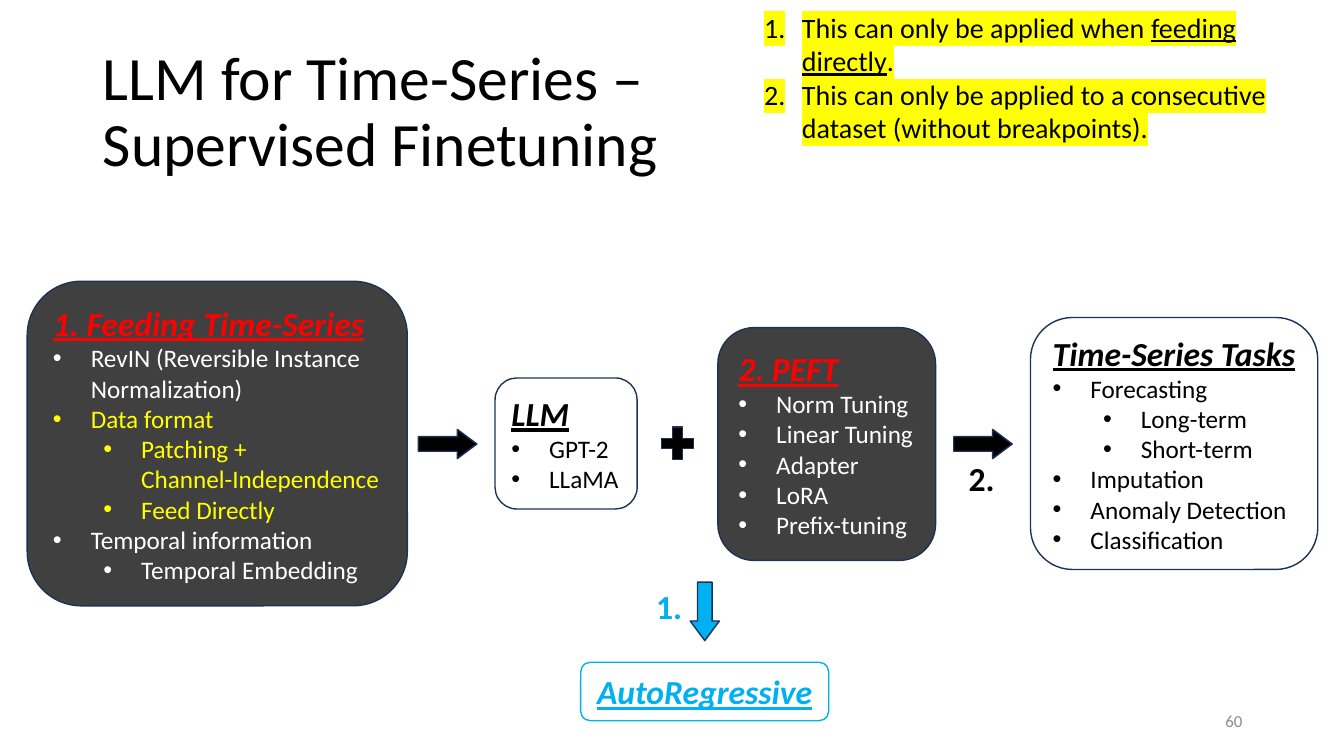
from lxml import etree
from pptx import Presentation, util as u
from pptx.dml.color import RGBColor
from pptx.enum import shapes, text
from pptx.oxml import ns

HUE = dict(black="000000", white="FFFFFF", dark="404040", navy="1E3256",
           red="FF0000", yellow="FFFF00", blue="00B0F0", gray="8C8C8C")
HEAD = dict(size=24, bold=True, italic=True, line=True)

BOXES = [
    ((0.27, 2.79, 3.77, 3.22), "dark", "1. Feeding Time-Series", "red", [
        (0, "RevIN (Reversible Instance Normalization)", "white"),
        (0, "Data format", "yellow"),
        (1, "Patching + \nChannel-Independence", "yellow"),
        (1, "Feed Directly", "yellow"),
        (0, "Temporal information", "white"),
        (1, "Temporal Embedding", "white")]),
    ((4.91, 3.75, 1.41, 1.3), None, "LLM", "black", [
        (0, "GPT-2", "black"), (0, "LLaMA", "black")]),
    ((7.12, 3.25, 2.16, 2.31), "dark", "2. PEFT", "red", [
        (0, name, "white") for name in
        ("Norm Tuning", "Linear Tuning", "Adapter", "LoRA", "Prefix-tuning")]),
    ((10.22, 3.15, 2.85, 2.5), None, "Time-Series Tasks", "black", [
        (0, "Forecasting", "black"), (1, "Long-term", "black"),
        (1, "Short-term", "black"), (0, "Imputation", "black"),
        (0, "Anomaly Detection", "black"), (0, "Classification", "black")]),
]
ARROWS = [(4.15, 4.26, 0, "black"), (9.46, 4.26, 0, "black"), (6.7, 5.92, 90, "blue")]
MARKS = [("1.", (6.41, 5.76, 0.46, 0.5), "blue"), ("2.", (9.51, 4.49, 0.46, 0.5), "black")]
NOTES = [
    [("This can only be applied when ", False), ("feeding directly", True), (".", False)],
    [("This can only be applied to a consecutive dataset (without breakpoints).", False)],
]

deck = Presentation()
deck.slide_width, deck.slide_height = u.Inches(13.33), u.Inches(7.5)
slide = deck.slides.add_slide(deck.slide_layouts[5])


def rgb(name):
    return RGBColor.from_string(HUE[name])


def inch(spot):
    return [u.Inches(n) for n in spot]


def write(para, words, size=18, hue="black", bold=False, italic=False, line=False, mark=None):
    for i, part in enumerate(words.split("\n")):
        if i:
            para.add_line_break()
        run = para.add_run()
        run.text = part
        font = run.font
        font.name, font.size, font.bold = "Calibri", u.Pt(size), bold
        font.italic, font.underline = italic, line
        font.color.rgb = rgb(hue)
        if mark:
            glow = etree.Element(ns.qn("a:highlight"))
            etree.SubElement(glow, ns.qn("a:srgbClr"), val=HUE[mark])
            font.fill._xPr.find(ns.qn("a:solidFill")).addnext(glow)


def bullet(para, level=0, count=False):
    para.level = level
    prop = para._p.get_or_add_pPr()
    prop.set("marL", str(u.Inches(0.375 + 0.5 * level)))
    prop.set("indent", str(u.Inches(-0.375)))
    if count:
        etree.SubElement(prop, ns.qn("a:buFont"), typeface="+mj-lt")
        etree.SubElement(prop, ns.qn("a:buAutoNum"), type="arabicPeriod")
    else:
        etree.SubElement(prop, ns.qn("a:buFont"), typeface="Arial")
        etree.SubElement(prop, ns.qn("a:buChar"), char="•")


def draw(kind, spot, fill=None, line="navy"):
    form = slide.shapes.add_shape(kind, *inch(spot))
    form.shadow.inherit = False
    if fill:
        form.fill.solid()
        form.fill.fore_color.rgb = rgb(fill)
    else:
        form.fill.background()
    form.line.color.rgb, form.line.width = rgb(line), u.Pt(1)
    frame = form.text_frame
    frame.word_wrap = True
    frame.vertical_anchor = text.MSO_ANCHOR.MIDDLE
    frame.paragraphs[0].alignment = text.PP_ALIGN.LEFT
    return form


def label(spot, wrap=True):
    frame = slide.shapes.add_textbox(*inch(spot)).text_frame
    frame.word_wrap = wrap
    return frame


title = slide.shapes.title
title.left, title.top, title.width, title.height = inch((0.92, 0.4, 11.5, 1.45))
frame = title.text_frame
frame.auto_size = text.MSO_AUTO_SIZE.NONE
frame.vertical_anchor = text.MSO_ANCHOR.MIDDLE
para = frame.paragraphs[0]
para.alignment, para.line_spacing = text.PP_ALIGN.LEFT, 0.9
write(para, "LLM for Time-Series – \nSupervised Finetuning", size=44)

kinds = shapes.MSO_SHAPE
for spot, fill, head, hue, items in BOXES:
    frame = draw(kinds.ROUNDED_RECTANGLE, spot, fill).text_frame
    frame.margin_right = u.Inches(0.05)
    write(frame.paragraphs[0], head, hue=hue, **HEAD)
    for level, words, tone in items:
        para = frame.add_paragraph()
        para.alignment = text.PP_ALIGN.LEFT
        bullet(para, level)
        write(para, words, hue=tone)

goal = draw(kinds.ROUNDED_RECTANGLE, (5.76, 6.57, 2.46, 0.58), line="blue")
para = goal.text_frame.paragraphs[0]
para.alignment = text.PP_ALIGN.CENTER
write(para, "AutoRegressive", hue="blue", **HEAD)

for left, top, turn, hue in ARROWS:
    arrow = draw(kinds.RIGHT_ARROW, (left, top, 0.58, 0.29), hue)
    arrow.adjustments[1] = 0.67
    arrow.rotation = turn
draw(kinds.MATH_PLUS, (6.5, 4.18, 0.44, 0.44), "black")

for words, spot, hue in MARKS:
    write(label(spot, False).paragraphs[0], words, size=24, hue=hue, bold=True)

frame = label((7.48, 0.05, 5.85, 1.11))
for i, runs in enumerate(NOTES):
    para = frame.add_paragraph() if i else frame.paragraphs[0]
    bullet(para, count=True)
    for words, line in runs:
        write(para, words, size=20, line=line, mark="yellow")

frame = label((9.42, 6.95, 3, 0.4))
frame.vertical_anchor = text.MSO_ANCHOR.MIDDLE
para = frame.paragraphs[0]
para.alignment = text.PP_ALIGN.RIGHT
write(para, "60", size=12, hue="gray")

deck.save("out.pptx")
